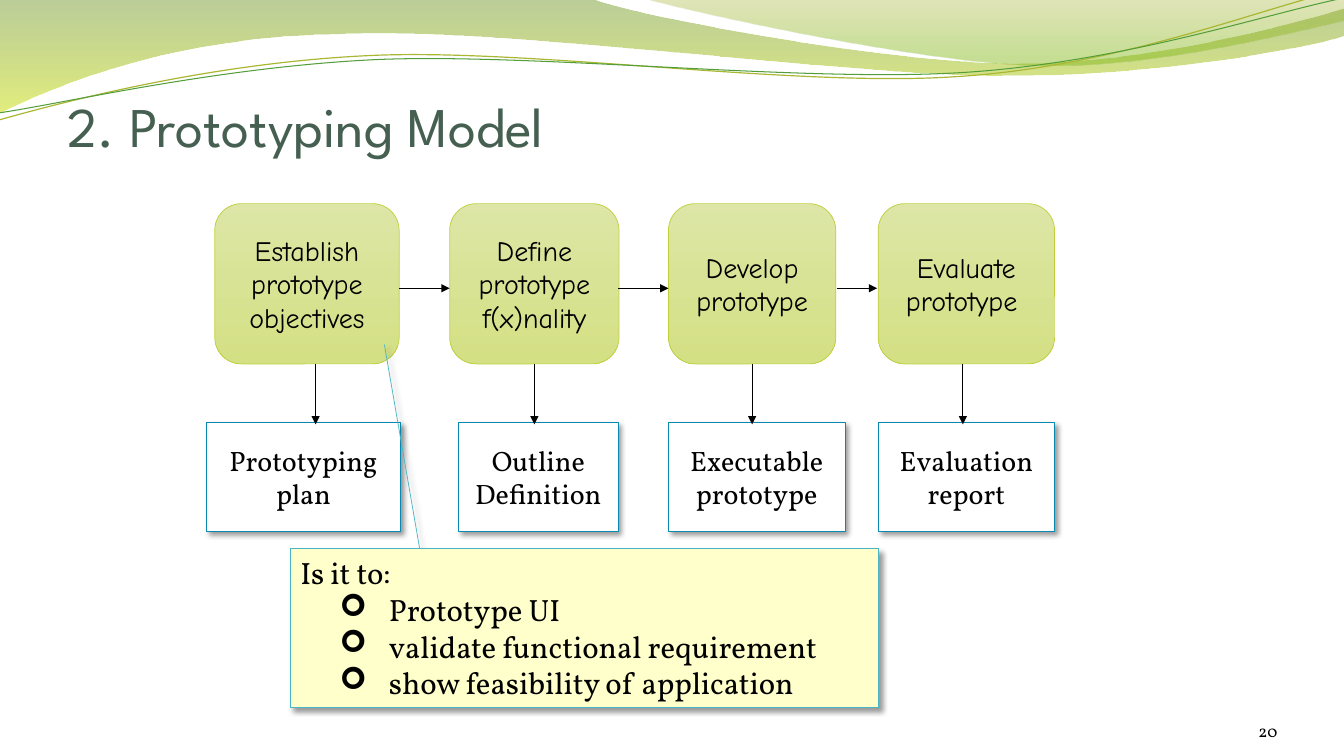
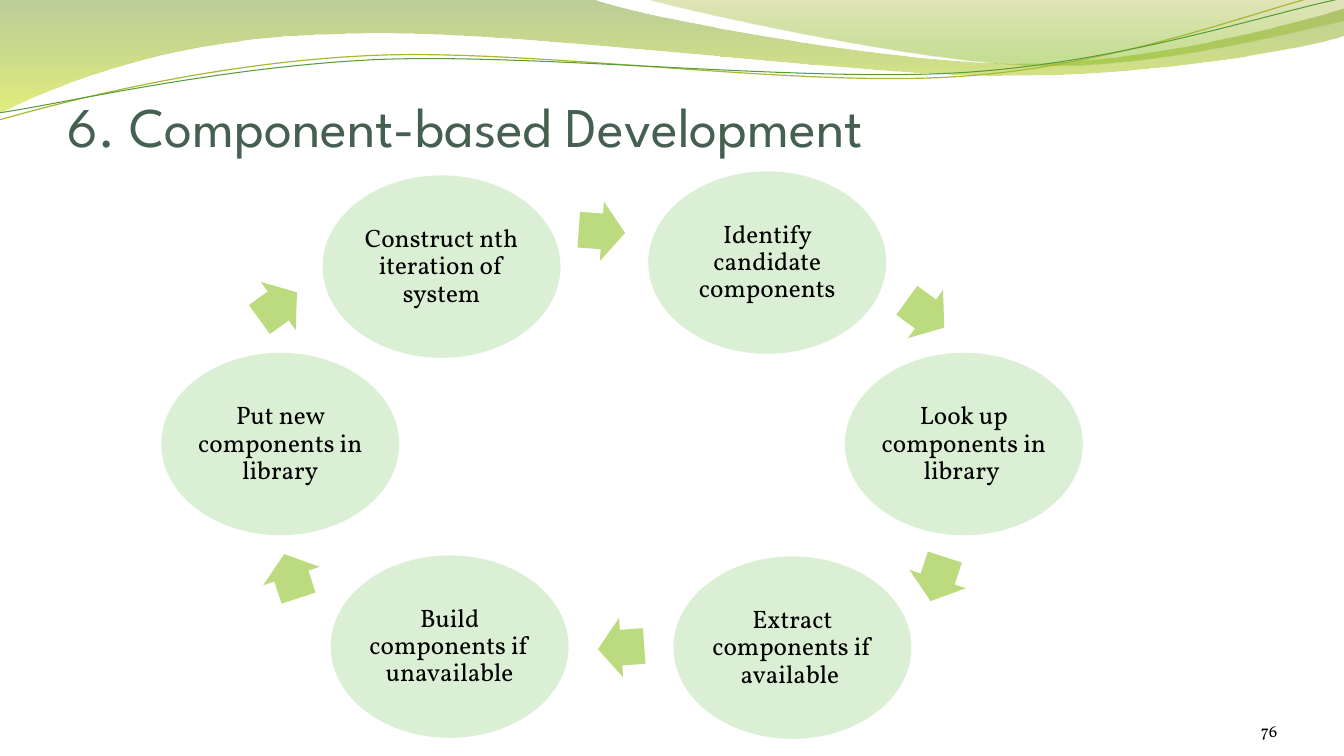
"""Build two slides on software process models."""
from lxml.etree import SubElement
from pptx import Presentation
from pptx.dml.color import RGBColor
from pptx.enum.shapes import MSO_CONNECTOR, MSO_SHAPE
from pptx.enum.text import MSO_ANCHOR, PP_ALIGN
from pptx.oxml.ns import qn
from pptx.util import Emu, Pt

EMU_PER_PX = 9144

BLACK = RGBColor(0x00, 0x00, 0x00)
WHITE = RGBColor(0xFF, 0xFF, 0xFF)
TITLE_GREEN = RGBColor(0x45, 0x5F, 0x51)
STAGE_TOP = RGBColor(0xDD, 0xE6, 0xA6)
STAGE_BOTTOM = RGBColor(0xD4, 0xE0, 0x84)
STAGE_EDGE = RGBColor(0xC0, 0xCF, 0x3A)
OUTPUT_EDGE = RGBColor(0x09, 0x89, 0xB1)
NOTE_YELLOW = RGBColor(0xFF, 0xFF, 0xCC)
NOTE_EDGE = RGBColor(0x4A, 0xB5, 0xC4)
STEP_GREEN = RGBColor(0xDB, 0xEF, 0xD4)
CYCLE_GREEN = RGBColor(0xBB, 0xDB, 0x7E)
BAND_DARK = RGBColor(0x69, 0x92, 0x1C)
BAND_YELLOW = RGBColor(0xCC, 0xE1, 0x0F)
SWEEP_OLIVE = RGBColor(0x9B, 0xAA, 0x1A)
SWEEP_GREEN = RGBColor(0x81, 0xBA, 0x16)
STRAND_OLIVE = RGBColor(0xA9, 0xB7, 0x33)
STRAND_GREEN = RGBColor(0x54, 0x9E, 0x39)

TITLE_FONT = "League Spartan"
BODY_FONT = "Vollkorn"
STAGE_FONT = "Comic Neue"
BULLET_FONT = "Wingdings"

BANDS = [
    ([(0, 0), (587, -1), (634, 17, 884, 63, 1011, 63),
      (1137, 63, 1277, 26, 1333, 9), (1334, 36),
      (1311, 44, 1159, 76, 994, 75), (829, 75, 509, 28, 343, 34),
      (172, 36, 61, 83, -2, 113)],
     [(0, BAND_DARK, 45), (1, BAND_YELLOW, 55)]),
    ([(638, -1), (679, 11, 909, 62, 1025, 65),
      (1140, 69, 1282, 32, 1333, 21), (1333, 0)],
     [(0, SWEEP_OLIVE, 30), (0.8, SWEEP_GREEN, 45)]),
]
STRANDS = [
    ([(-1, 119), (63, 101, 210, 62, 369, 55), (527, 48, 789, 87, 949, 76),
      (1110, 66, 1251, 8, 1330, -10)], STRAND_OLIVE, 0.85),
    ([(-1, 112), (62, 103, 218, 66, 377, 59), (537, 53, 796, 82, 955, 72),
      (1114, 62, 1255, 14, 1333, -2)], STRAND_GREEN, 0.75),
]

STAGE_Y, STAGE_H = 202, 159
OUTPUT_Y, OUTPUT_H = 419, 108
STAGES = [
    (213, 183, "Establish prototype objectives"),
    (446, 168, "Define prototype f(x)nality"),
    (663, 166, "Develop prototype"),
    (871, 175, "Evaluate\nprototype "),
]
OUTPUTS = [
    (205, 192, "Prototyping plan"),
    (455, 158, "Outline Definition"),
    (663, 175, "Executable prototype"),
    (871, 175, "Evaluation report"),
]
FLOW_Y = 286
FLOW_ARROWS = [(396, 446), (613, 663), (830, 870)]
OUTPUT_ARROW_XS = [313, 530, 746, 955]
OUTPUT_ARROW_END = 421
NOTE_LINES = ["Is it to:", "Prototype UI", "validate functional requirement",
              "show feasibility of application"]

CYCLE_STEPS = [
    (643, 170, "Identify candidate components"),
    (838, 350, "Look up components in library "),
    (668, 552, "Extract components if available "),
    (328, 551, "Build components if unavailable"),
    (160, 350, "Put new components in library"),
    (320, 174, "Construct nth iteration of system"),
]
CYCLE_ARROWS = [(895, 282, 36), (907, 545, 108), (593, 613, 176),
                (266, 542, 252), (253, 274, 324), (574, 200, 4)]


def px(length):
    """Turn px into EMU."""
    return Emu(round(length * EMU_PER_PX))


def add_outline(slide, segments, close):
    """Add a freeform of straight lines (2 numbers) and cubic curves (6)."""
    points = [(px(segment[i]), px(segment[i + 1]))
              for segment in segments for i in range(0, len(segment), 2)]
    builder = slide.shapes.build_freeform(*points[0], scale=1.0)
    builder.add_line_segments(points[1:], close=close)
    outline = builder.convert_to_shape()
    outline.shadow.inherit = False
    moves = iter(list(outline.element.iter(qn("a:lnTo"))))
    for segment in segments[1:]:
        move = next(moves)
        if len(segment) == 6:
            move.tag = qn("a:cubicBezTo")
            for extra in (next(moves), next(moves)):
                move.append(extra[0])
                extra.getparent().remove(extra)
    return outline


def fill_gradient(shape, stops):
    """Fill from top to bottom with two (position, colour, opacity) stops."""
    shape.fill.gradient()
    shape.fill.gradient_angle = 270
    for stop, (position, color, _) in zip(shape.fill.gradient_stops, stops):
        stop.position = position
        stop.color.rgb = color
    colors = shape.element.spPr.find(qn("a:gradFill")).iter(qn("a:srgbClr"))
    for color, (_, _, opacity) in zip(colors, stops):
        if opacity < 100:
            SubElement(color, qn("a:alpha"), val=str(opacity * 1000))


def set_line(shape, color, width):
    """Give a shape a solid line."""
    shape.line.color.rgb = color
    shape.line.width = Pt(width)


def cast_shadow(shape):
    """Give a shape a soft shadow to the lower right."""
    effects = shape.element.spPr.find(qn("a:effectLst"))
    shadow = SubElement(effects, qn("a:outerShdw"), blurRad=str(Pt(4)),
                        dist=str(Pt(3)), dir="2700000", algn="tl",
                        rotWithShape="0")
    color = SubElement(shadow, qn("a:srgbClr"), val=str(BLACK))
    SubElement(color, qn("a:alpha"), val="40000")


def write(shape, text, font, size, color=BLACK, align=PP_ALIGN.CENTER,
          anchor=MSO_ANCHOR.MIDDLE, insets=(10, 5, 10, 5)):
    """Write styled, wrapped text into a shape."""
    frame = shape.text_frame
    frame.text = text
    frame.word_wrap = True
    frame.vertical_anchor = anchor
    (frame.margin_left, frame.margin_top,
     frame.margin_right, frame.margin_bottom) = map(px, insets)
    for paragraph in frame.paragraphs:
        paragraph.alignment = align
        for run in paragraph.runs:
            run.font.name = font
            run.font.size = Pt(size)
            run.font.color.rgb = color


def add_label(slide, box, text, **style):
    """Add a bottom-anchored text box."""
    label = slide.shapes.add_textbox(*map(px, box))
    write(label, text, anchor=MSO_ANCHOR.BOTTOM, **style)


def add_preset(slide, kind, box, fill=None):
    """Add a preset shape without line or shadow."""
    shape = slide.shapes.add_shape(kind, *map(px, box))
    shape.shadow.inherit = False
    shape.line.fill.background()
    if fill is not None:
        shape.fill.solid()
        shape.fill.fore_color.rgb = fill
    return shape


def add_stage(slide, left, width, text):
    """Add a rounded process stage."""
    stage = add_preset(slide, MSO_SHAPE.ROUNDED_RECTANGLE,
                       (left, STAGE_Y, width, STAGE_H))
    fill_gradient(stage, [(0, STAGE_TOP, 100), (1, STAGE_BOTTOM, 100)])
    set_line(stage, STAGE_EDGE, 0.5)
    write(stage, text, STAGE_FONT, 20)
    return stage


def add_output(slide, left, width, text):
    """Add the document that a stage produces."""
    output = add_preset(slide, MSO_SHAPE.RECTANGLE,
                        (left, OUTPUT_Y, width, OUTPUT_H), WHITE)
    set_line(output, OUTPUT_EDGE, 0.5)
    cast_shadow(output)
    write(output, text, BODY_FONT, 20)


def add_arrow(slide, start, end):
    """Add a thin black arrow."""
    arrow = slide.shapes.add_connector(MSO_CONNECTOR.STRAIGHT,
                                       *map(px, start + end))
    set_line(arrow, BLACK, 0.75)
    properties = arrow.element.spPr
    SubElement(properties.find(qn("a:ln")), qn("a:tailEnd"), type="triangle")
    SubElement(properties, qn("a:effectLst"))
    return arrow


def add_note(slide):
    """Add the callout that lists possible objectives."""
    note = add_preset(slide, MSO_SHAPE.LINE_CALLOUT_1, (288, 544, 583, 158),
                      NOTE_YELLOW)
    for index, value in enumerate((0, 0.22, -1.28, 0.16)):
        note.adjustments[index] = value
    set_line(note, NOTE_EDGE, 0.5)
    cast_shadow(note)
    write(note, "\n".join(NOTE_LINES), BODY_FONT, 22, align=PP_ALIGN.LEFT,
          anchor=MSO_ANCHOR.TOP)
    for paragraph in note.text_frame.paragraphs[1:]:
        properties = paragraph._p.get_or_add_pPr()
        properties.set("marL", str(px(88)))
        properties.set("indent", str(px(-49)))
        SubElement(properties, qn("a:buFont"), typeface=BULLET_FONT)
        SubElement(properties, qn("a:buChar"), char="➢")


def add_base_slide(deck, title, number):
    """Add a slide with the shared waves, title and page number."""
    slide = deck.slides.add_slide(deck.slide_layouts[6])
    for segments, stops in BANDS:
        band = add_outline(slide, segments, close=True)
        fill_gradient(band, stops)
        band.line.fill.background()
    for segments, color, width in STRANDS:
        strand = add_outline(slide, segments, close=False)
        strand.fill.background()
        set_line(strand, color, width)
    add_label(slide, (67, 77, 1211, 80), title, font=TITLE_FONT, size=40,
              color=TITLE_GREEN, align=PP_ALIGN.LEFT, insets=(0, 5, 0, 0))
    add_label(slide, (1156, 695, 111, 40), number, font=BODY_FONT, size=12,
              align=PP_ALIGN.RIGHT, insets=(0, 0, 0, 0))
    return slide


def add_prototyping(deck):
    """Add the prototyping flow."""
    slide = add_base_slide(deck, "2. Prototyping Model", "20")
    stages = [add_stage(slide, *stage) for stage in STAGES]
    for start, end in FLOW_ARROWS:
        add_arrow(slide, (start, FLOW_Y), (end, FLOW_Y))
    for output in OUTPUTS:
        add_output(slide, *output)
    for x, stage in zip(OUTPUT_ARROW_XS, stages):
        arrow = add_arrow(slide, (x, STAGE_Y + STAGE_H), (x, OUTPUT_ARROW_END))
        if stage.left + stage.width // 2 == px(x):
            arrow.begin_connect(stage, 2)
    add_note(slide)


def add_component_cycle(deck):
    """Add the component-based development cycle."""
    slide = add_base_slide(deck, "6. Component-based Development", "76")
    for left, top, text in CYCLE_STEPS:
        step = add_preset(slide, MSO_SHAPE.OVAL, (left, top, 236, 181), STEP_GREEN)
        write(step, text, BODY_FONT, 18, insets=(2, 2, 2, 2))
        step.text_frame.paragraphs[0].line_spacing = 0.9
    for left, top, angle in CYCLE_ARROWS:
        arrow = add_preset(slide, MSO_SHAPE.RIGHT_ARROW, (left, top, 46, 59),
                           CYCLE_GREEN)
        arrow.adjustments[0] = 0.6
        arrow.rotation = angle


def main():
    """Build and save the deck."""
    deck = Presentation()
    deck.slide_width, deck.slide_height = px(1333), px(750)
    add_prototyping(deck)
    add_component_cycle(deck)
    deck.save("out.pptx")


if __name__ == "__main__":
    main()
